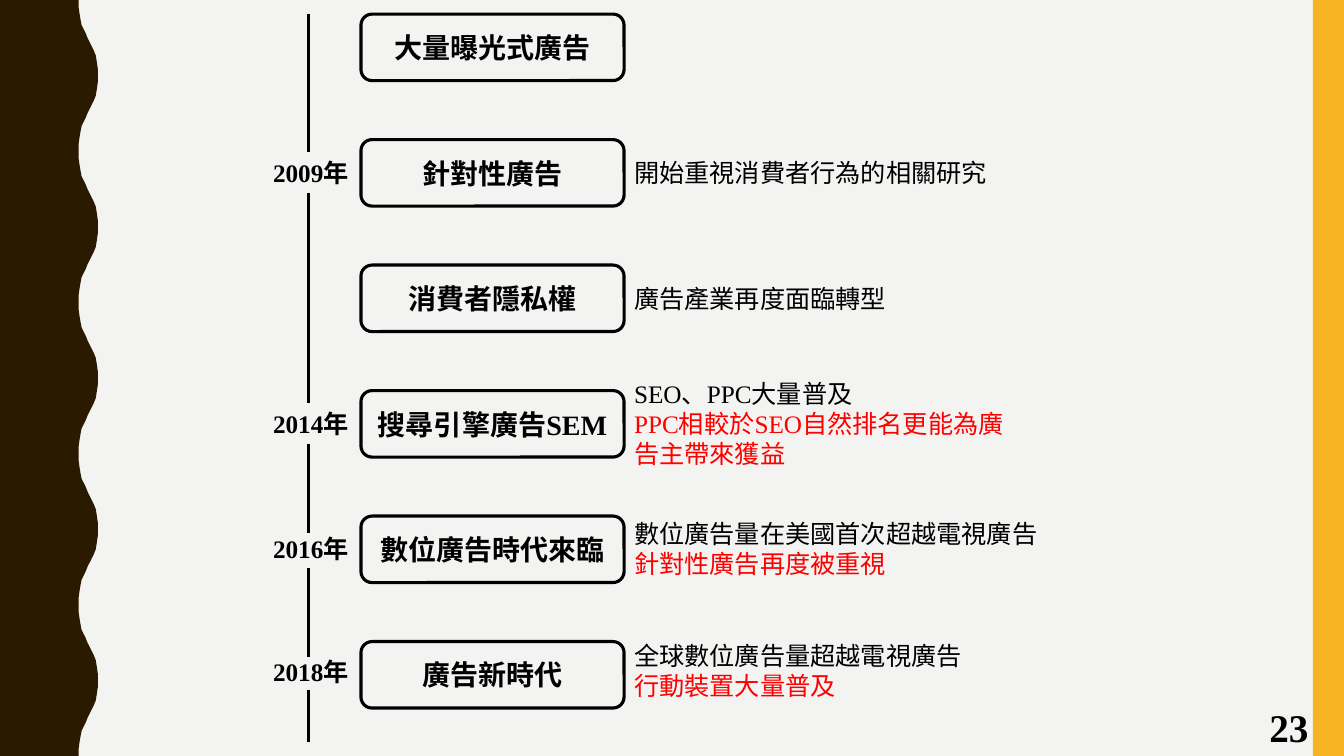
from dataclasses import dataclass

from lxml import etree
from pptx import Presentation
from pptx.dml.color import RGBColor
from pptx.enum import shapes, text
from pptx.oxml.ns import qn
from pptx.slide import Slide
from pptx.util import Inches, Pt


@dataclass(frozen=True)
class Theme:
    background: str = "F3F3F2"
    wave: str = "2A1A00"
    stripe: str = "F8B323"
    ink: str = "000000"
    accent: str = "FF0000"
    serif: str = "Times New Roman"
    sans: str = "Calibri"
    body_size: int = 18
    stage_size: int = 20
    number_size: int = 28
    line_width: float = 2.25


@dataclass(frozen=True)
class Note:
    top: float
    width: float
    height: float
    lines: tuple[str, ...]  # every line after the first is accented


@dataclass(frozen=True)
class Stage:
    name: str
    font: str
    year: str = ""
    year_top: float = 0
    note: Note | None = None


THEME = Theme()
SLIDE_W, SLIDE_H = 13.33, 7.5
STAGE_LEFT, STAGE_TOP, STAGE_W, STAGE_H = 3.58, 0.14, 2.61, 0.66
STAGE_PITCH = 1.245
YEAR_LEFT, YEAR_W, YEAR_H = 2.61, 0.97, 0.4
NOTE_LEFT = STAGE_LEFT + STAGE_W
AXIS_X = 3.06
AXIS_SPANS = [(0.14, 1.51), (1.91, 4), (4.4, 5.29), (5.64, 6.52), (6.85, 7.36)]

WAVE_PERIOD = 1.5
WAVE_RISE = [
    (0.78, 0), (0.78, 0.07), (0.79, 0.14), (0.8, 0.2), (0.81, 0.25),
    (0.83, 0.29), (0.85, 0.33), (0.87, 0.38), (0.89, 0.42), (0.91, 0.46),
    (0.93, 0.5), (0.95, 0.55), (0.96, 0.61), (0.97, 0.68), (0.97, 0.75),
]

STAGES = [
    Stage("大量曝光式廣告", THEME.sans),
    Stage("針對性廣告", THEME.sans, "2009年", 1.51,
          Note(1.51, 3.88, 0.4, ("開始重視消費者行為的相關研究",))),
    Stage("消費者隱私權", THEME.sans,
          note=Note(2.76, 3.88, 0.4, ("廣告產業再度面臨轉型",))),
    Stage("搜尋引擎廣告SEM", THEME.serif, "2014年", 4,
          Note(3.7, 3.88, 1.01,
               ("SEO、PPC大量普及", "PPC相較於SEO自然排名更能為廣告主帶來獲益"))),
    Stage("數位廣告時代來臨", THEME.serif, "2016年", 5.24,
          Note(5.09, 4.53, 0.71,
               ("數位廣告量在美國首次超越電視廣告", "針對性廣告再度被重視"))),
    Stage("廣告新時代", THEME.serif, "2018年", 6.46,
          Note(6.3, 4.53, 0.71,
               ("全球數位廣告量超越電視廣告", "行動裝置大量普及"))),
]


def rgb(color: str) -> RGBColor:
    return RGBColor.from_string(color)


def style(paragraph, font: str, size: float, bold: bool = False,
          color: str = THEME.ink) -> None:
    paragraph.font.name = font
    paragraph.font.size = Pt(size)
    paragraph.font.bold = bold
    paragraph.font.color.rgb = rgb(color)


def add_label(slide: Slide, left: float, top: float, width: float, height: float,
              lines: tuple[str, ...], font: str, size: float,
              bold: bool = False) -> None:
    """Add a text box whose lines after the first take the accent colour."""
    frame = slide.shapes.add_textbox(
        Inches(left), Inches(top), Inches(width), Inches(height)).text_frame
    frame.word_wrap = True
    frame.auto_size = text.MSO_AUTO_SIZE.SHAPE_TO_FIT_TEXT
    for i, line in enumerate(lines):
        paragraph = frame.add_paragraph() if i else frame.paragraphs[0]
        paragraph.text = line
        style(paragraph, font, size, bold, THEME.accent if i else THEME.ink)


def fill_plain(shape, color: str) -> None:
    shape.shadow.inherit = False
    shape.fill.solid()
    shape.fill.fore_color.rgb = rgb(color)
    shape.line.fill.background()


def add_side_decor(slide: Slide) -> None:
    fall = [(x, WAVE_PERIOD - y) for x, y in reversed(WAVE_RISE)]
    edge = [(Inches(x), Inches(y + n * WAVE_PERIOD))
            for n in range(round(SLIDE_H / WAVE_PERIOD))
            for x, y in WAVE_RISE + fall[1:]]
    outline = slide.shapes.build_freeform(0, 0)
    outline.add_line_segments(edge + [(0, Inches(SLIDE_H))], close=True)
    fill_plain(outline.convert_to_shape(), THEME.wave)

    stripe = slide.shapes.add_shape(
        shapes.MSO_SHAPE.RECTANGLE,
        Inches(13.02), 0, Inches(0.31), Inches(SLIDE_H))
    fill_plain(stripe, THEME.stripe)


def add_stage(slide: Slide, stage: Stage, top: float) -> None:
    box = slide.shapes.add_shape(
        shapes.MSO_SHAPE.ROUNDED_RECTANGLE,
        Inches(STAGE_LEFT), Inches(top), Inches(STAGE_W), Inches(STAGE_H))
    box.shadow.inherit = False
    box.fill.background()
    box.line.color.rgb = rgb(THEME.ink)
    box.line.width = Pt(THEME.line_width)
    box.text_frame.word_wrap = True
    box.text_frame.vertical_anchor = text.MSO_ANCHOR.MIDDLE
    name = box.text_frame.paragraphs[0]
    name.text = stage.name
    name.alignment = text.PP_ALIGN.CENTER
    style(name, stage.font, THEME.stage_size, bold=True)

    if stage.year:
        add_label(slide, YEAR_LEFT, stage.year_top, YEAR_W, YEAR_H,
                  (stage.year,), THEME.serif, THEME.body_size, bold=True)
    if stage.note:
        note = stage.note
        add_label(slide, NOTE_LEFT, note.top, note.width, note.height,
                  note.lines, stage.font, THEME.body_size)


def add_axis_span(slide: Slide, start: float, end: float) -> None:
    span = slide.shapes.add_connector(
        shapes.MSO_CONNECTOR.STRAIGHT,
        Inches(AXIS_X), Inches(start), Inches(AXIS_X), Inches(end))
    span.line.color.rgb = rgb(THEME.ink)
    span.line.width = Pt(THEME.line_width)
    etree.SubElement(span._element.spPr, qn("a:effectLst"))


def main() -> None:
    deck = Presentation()
    deck.slide_width, deck.slide_height = Inches(SLIDE_W), Inches(SLIDE_H)
    slide = deck.slides.add_slide(deck.slide_layouts[6])
    slide.background.fill.solid()
    slide.background.fill.fore_color.rgb = rgb(THEME.background)

    add_side_decor(slide)
    add_label(slide, 12.49, 6.93, 0.65, 0.57, ("23",),
              THEME.serif, THEME.number_size, bold=True)
    for i, stage in enumerate(STAGES):
        add_stage(slide, stage, STAGE_TOP + i * STAGE_PITCH)
    for start, end in AXIS_SPANS:
        add_axis_span(slide, start, end)
    deck.save("out.pptx")


if __name__ == "__main__":
    main()
